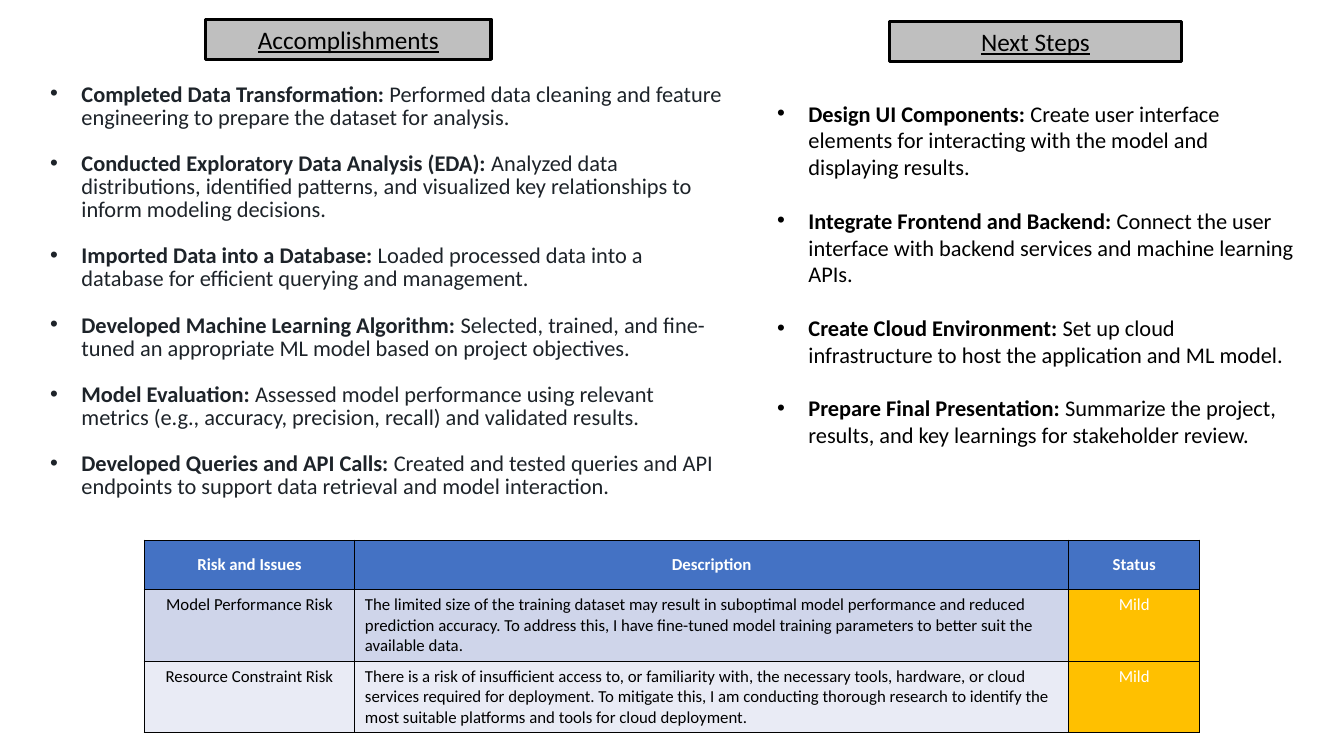
from typing import NamedTuple, Optional

from lxml import etree
from pptx import Presentation
from pptx import util as u
from pptx.dml.color import RGBColor
from pptx.enum import shapes, text
from pptx.oxml import ns

PX = 9144  # EMU per px, 100 px to the inch
FONT = "Calibri"
COLORS = {
    "black": "000000",
    "white": "FFFFFF",
    "ink": "1D2329",
    "heading": "BFBFBF",
    "header": "4472C4",
    "band_dark": "CFD5EA",
    "band_light": "E9EBF5",
    "mild": "FFC000",
}
INDENT = 31
COLUMN_WIDTHS = (209, 708, 130)
ROW_HEIGHTS = (49, 70, 70)


class Box(NamedTuple):
    left: int
    top: int
    width: int
    height: int

    def emu(self) -> list[int]:
        return [side * PX for side in self]


class Item(NamedTuple):
    title: str
    detail: str


class Section(NamedTuple):
    heading: str
    heading_box: Box
    list_box: Box
    color: str
    line_points: Optional[float]
    gap_points: float
    items: tuple[Item, ...]


class Risk(NamedTuple):
    name: str
    description: str
    status: str
    band: str


SECTIONS = (
    Section(
        "Accomplishments", Box(204, 19, 283, 40), Box(40, 78, 690, 439), "ink", 16.5, 16.5,
        (
            Item("Completed Data Transformation:",
                 "Performed data cleaning and feature engineering to prepare the dataset for analysis."),
            Item("Conducted Exploratory Data Analysis (EDA):",
                 "Analyzed data distributions, identified patterns, and visualized key relationships "
                 "to inform modeling decisions."),
            Item("Imported Data into a Database:",
                 "Loaded processed data into a database for efficient querying and management."),
            Item("Developed Machine Learning Algorithm:",
                 "Selected, trained, and fine-tuned an appropriate ML model based on project objectives."),
            Item("Model Evaluation:",
                 "Assessed model performance using relevant metrics (e.g., accuracy, precision, recall) "
                 "and validated results."),
            Item("Developed Queries and API Calls:",
                 "Created and tested queries and API endpoints to support data retrieval "
                 "and model interaction."),
        ),
    ),
    Section(
        "Next Steps", Box(882, 21, 290, 40), Box(761, 94, 532, 360), "black", None, 19,
        (
            Item("Design UI Components:",
                 "Create user interface elements for interacting with the model and displaying results."),
            Item("Integrate Frontend and Backend:",
                 "Connect the user interface with backend services and machine learning APIs."),
            Item("Create Cloud Environment:",
                 "Set up cloud infrastructure to host the application and ML model."),
            Item("Prepare Final Presentation:",
                 "Summarize the project, results, and key learnings for stakeholder review."),
        ),
    ),
)
HEADERS = ("Risk and Issues", "Description", "Status")
RISKS = (
    Risk("Model Performance Risk",
         "The limited size of the training dataset may result in suboptimal model performance and "
         "reduced prediction accuracy. To address this, I have fine-tuned model training parameters "
         "to better suit the available data.",
         "Mild", "band_dark"),
    Risk("Resource Constraint Risk",
         "There is a risk of insufficient access to, or familiarity with, the necessary tools, "
         "hardware, or cloud services required for deployment. To mitigate this, I am conducting "
         "thorough research to identify the most suitable platforms and tools for cloud deployment.",
         "Mild", "band_light"),
)


def rgb(name: str) -> RGBColor:
    return RGBColor.from_string(COLORS[name])


def style_run(run, size: int, color: str, bold: bool = False) -> None:
    run.font.name = FONT
    run.font.size = u.Pt(size)
    run.font.bold = bold
    run.font.color.rgb = rgb(color)


def add_heading(slide, section: Section) -> None:
    heading = slide.shapes.add_shape(shapes.MSO_SHAPE.RECTANGLE, *section.heading_box.emu())
    heading.shadow.inherit = False
    heading.fill.solid()
    heading.fill.fore_color.rgb = rgb("heading")
    heading.line.color.rgb = rgb("black")
    heading.line.width = u.Pt(2.25)
    heading.text_frame.text = section.heading
    heading.text_frame.vertical_anchor = text.MSO_ANCHOR.TOP
    title = heading.text_frame.paragraphs[0]
    title.alignment = text.PP_ALIGN.CENTER
    style_run(title.runs[0], 18, "black")
    title.runs[0].font.underline = True


def add_bullet(paragraph) -> None:
    properties = paragraph._p.get_or_add_pPr()
    properties.set("marL", str(INDENT * PX))
    properties.set("indent", str(-INDENT * PX))
    etree.SubElement(properties, ns.qn("a:buFont"), typeface="Arial")
    etree.SubElement(properties, ns.qn("a:buChar"), char="•")


def add_list(slide, section: Section) -> None:
    frame = slide.shapes.add_textbox(*section.list_box.emu()).text_frame
    frame.word_wrap = True
    for index, item in enumerate(section.items):
        paragraph = frame.add_paragraph() if index else frame.paragraphs[0]
        if section.line_points:
            paragraph.line_spacing = u.Pt(section.line_points)
        if index:
            paragraph.space_before = u.Pt(section.gap_points)
        add_bullet(paragraph)
        for words, bold in ((item.title + " ", True), (item.detail, False)):
            run = paragraph.add_run()
            run.text = words
            style_run(run, 16, section.color, bold)


def add_borders(cell) -> None:
    properties = cell._tc.get_or_add_tcPr()
    for side in "LRTB":
        border = etree.SubElement(properties, ns.qn(f"a:ln{side}"), w=str(u.Pt(1)))
        fill = etree.SubElement(border, ns.qn("a:solidFill"))
        etree.SubElement(fill, ns.qn("a:srgbClr"), val=COLORS["black"])


def fill_cell(cell, words: str, fill: str, color: str, centered: bool, header: bool) -> None:
    add_borders(cell)
    cell.fill.solid()
    cell.fill.fore_color.rgb = rgb(fill)
    cell.vertical_anchor = text.MSO_ANCHOR.MIDDLE if header else text.MSO_ANCHOR.TOP
    cell.text_frame.text = words
    paragraph = cell.text_frame.paragraphs[0]
    paragraph.alignment = text.PP_ALIGN.CENTER if centered else text.PP_ALIGN.LEFT
    style_run(paragraph.runs[0], 12, color, header)


def add_risk_table(slide) -> None:
    box = Box(143, 536, sum(COLUMN_WIDTHS), sum(ROW_HEIGHTS))
    table = slide.shapes.add_table(len(RISKS) + 1, len(HEADERS), *box.emu()).table
    for column, width in zip(table.columns, COLUMN_WIDTHS):
        column.width = width * PX
    for row, height in zip(table.rows, ROW_HEIGHTS):
        row.height = height * PX
    for index, header in enumerate(HEADERS):
        fill_cell(table.cell(0, index), header, "header", "white", True, True)
    for index, risk in enumerate(RISKS, start=1):
        fill_cell(table.cell(index, 0), risk.name, risk.band, "black", True, False)
        fill_cell(table.cell(index, 1), risk.description, risk.band, "black", False, False)
        fill_cell(table.cell(index, 2), risk.status, "mild", "white", True, False)


def main() -> None:
    deck = Presentation()
    deck.slide_width, deck.slide_height = 1333 * PX, 750 * PX
    slide = deck.slides.add_slide(deck.slide_layouts[6])
    add_risk_table(slide)
    for section in SECTIONS:
        add_list(slide, section)
        add_heading(slide, section)
    deck.save("out.pptx")


if __name__ == "__main__":
    main()
